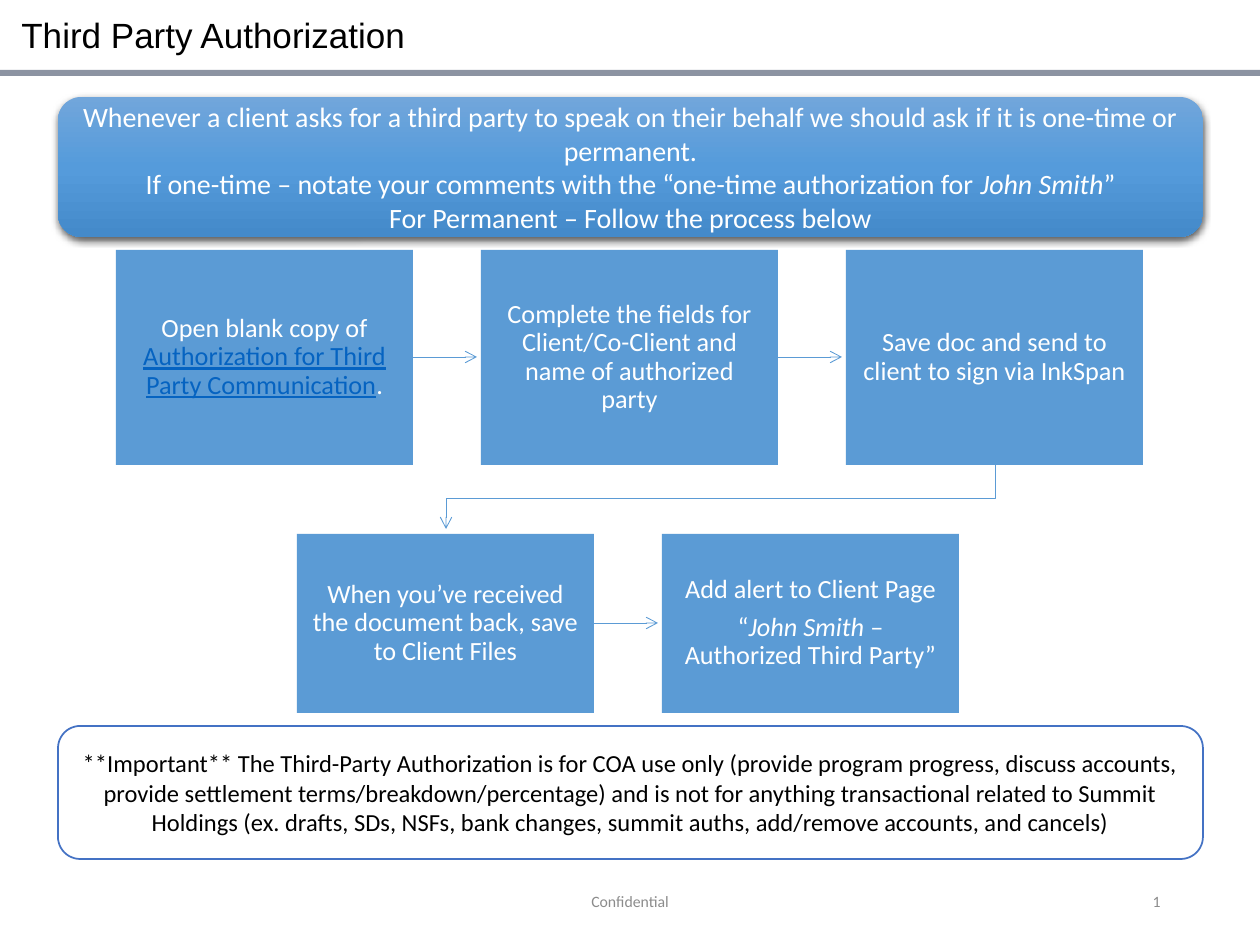
from copy import deepcopy

from lxml import etree
from pptx import Presentation
from pptx.dml.color import RGBColor
from pptx.enum.shapes import MSO_CONNECTOR, MSO_SHAPE
from pptx.enum.text import MSO_ANCHOR, PP_ALIGN
from pptx.oxml.ns import qn
from pptx.util import Pt

PX = 914400 // 126
LEFT, CENTER, RIGHT = PP_ALIGN.LEFT, PP_ALIGN.CENTER, PP_ALIGN.RIGHT
MIDDLE = MSO_ANCHOR.MIDDLE
RECT, ROUNDED = MSO_SHAPE.RECTANGLE, MSO_SHAPE.ROUNDED_RECTANGLE
STRAIGHT = MSO_CONNECTOR.STRAIGHT
COLORS = {
    name: RGBColor.from_string(value)
    for name, value in {
        "black": "000000", "white": "FFFFFF", "footer": "8C8C8C",
        "rule": "8C93A2", "step": "5B9BD5", "link": "0563C1",
        "note": "4472C4", "top": "71A6DB", "middle": "559BDB",
        "bottom": "448ACA",
    }.items()
}


def write(shape, paragraphs, size, color, align=CENTER, font="Calibri",
          spacing=1.0, after=0, inset=None):
    """Fill a shape with paragraphs, each a list of (text, style) runs."""
    frame = shape.text_frame
    frame.word_wrap = True
    frame.vertical_anchor = MIDDLE
    if inset is not None:
        frame.margin_left = frame.margin_right = inset * PX
        frame.margin_top = frame.margin_bottom = inset * PX
    for i, runs in enumerate(paragraphs):
        paragraph = frame.paragraphs[0] if i == 0 else frame.add_paragraph()
        paragraph.alignment = align
        paragraph.line_spacing = spacing
        paragraph.space_after = Pt(after)
        paragraph.font.name = font
        paragraph.font.size = Pt(size)
        paragraph.font.color.rgb = COLORS[color]
        for text, style in runs:
            run = paragraph.add_run()
            run.text = text
            if style == "italic":
                run.font.italic = True
            elif style == "link":
                run.font.underline = True
                run.font.color.rgb = COLORS["link"]


def style_arrow(arrow):
    """Give a line its colour, width and open arrowhead, without a shadow."""
    arrow.line.color.rgb = COLORS["step"]
    arrow.line.width = Pt(0.5)
    properties = arrow.element.spPr
    etree.SubElement(properties.find(qn("a:ln")), qn("a:tailEnd"), type="arrow")
    if properties.find(qn("a:effectLst")) is None:
        etree.SubElement(properties, qn("a:effectLst"))


prs = Presentation()
prs.slide_width, prs.slide_height = 1260 * PX, 945 * PX
slide = prs.slides.add_slide(prs.slide_layouts[6])
shapes = slide.shapes

# Title and footer
labels = [
    ("Third Party Authorization", (9, 5, 1220, 59), 20, "black", LEFT, "Arial"),
    ("Confidential", (417, 876, 426, 50), 9, "footer", CENTER, "Calibri"),
    ("1", (890, 876, 283, 50), 9, "footer", RIGHT, "Calibri"),
]
for text, box, size, color, align, font in labels:
    label = shapes.add_textbox(*(v * PX for v in box))
    write(label, [[(text, "")]], size, color, align, font)

title_rule = shapes.add_shape(RECT, 0, 70 * PX, 1260 * PX, 6 * PX)
title_rule.shadow.inherit = False
title_rule.fill.solid()
title_rule.fill.fore_color.rgb = COLORS["rule"]
title_rule.line.fill.background()

# Opening guidance
guidance = shapes.add_shape(ROUNDED, 58 * PX, 97 * PX, 1145 * PX, 140 * PX)
guidance.shadow.inherit = False
guidance.line.fill.background()
guidance.fill.gradient()
guidance.fill.gradient_angle = 270
stop_list = guidance.element.spPr.find(qn("a:gradFill")).find(qn("a:gsLst"))
stop_list.insert(1, deepcopy(stop_list[0]))
for stop, position, color in zip(guidance.fill.gradient_stops, (0, 0.5, 1),
                                 ("top", "middle", "bottom")):
    stop.position = position
    stop.color.rgb = COLORS[color]
effects = guidance.element.spPr.find(qn("a:effectLst"))
shadow = etree.SubElement(effects, qn("a:outerShdw"), blurRad=str(Pt(4.5)),
                          dist=str(Pt(1.5)), dir="5400000",
                          algn="ctr", rotWithShape="0")
shadow_color = etree.SubElement(shadow, qn("a:srgbClr"), val="000000")
etree.SubElement(shadow_color, qn("a:alpha"), val="63000")
write(guidance, [
    [("Whenever a client asks for a third party to speak on their behalf we "
      "should ask if it is one-time or permanent.", "")],
    [("If one-time – notate your comments with the “one-time authorization "
      "for ", ""), ("John Smith", "italic"), ("”", "")],
    [("For Permanent – Follow the process below", "")],
], 16, "white")

# Process steps, row by row: left, top, height, steps
STEP_WIDTH, STEP_PITCH, ARROW_LENGTH = 297, 365, 64
rows = [
    (116, 250, 215, [
        [[("Open blank copy of ", ""),
          ("Authorization for Third Party Communication", "link"), (".", "")]],
        [[("Complete the fields for Client/Co-Client and name of authorized "
           "party", "")]],
        [[("Save doc and send to client to sign via InkSpan", "")]],
    ]),
    (297, 534, 179, [
        [[("When you’ve received the document back, save to Client Files", "")]],
        [[("Add alert to Client Page", "")],
         [("“", ""), ("John Smith ", "italic"),
          ("– Authorized Third Party”", "")]],
    ]),
]
for row_left, top, height, steps in rows:
    for i, paragraphs in enumerate(steps):
        left = row_left + i * STEP_PITCH
        step = shapes.add_shape(RECT, left * PX, top * PX,
                                STEP_WIDTH * PX, height * PX)
        step.shadow.inherit = False
        step.fill.solid()
        step.fill.fore_color.rgb = COLORS["step"]
        step.line.fill.background()
        write(step, paragraphs, 15, "white", spacing=0.9, after=5.25, inset=15)
        if i < len(steps) - 1:
            start = left + STEP_WIDTH
            y = (top + height // 2) * PX
            style_arrow(shapes.add_connector(
                STRAIGHT, start * PX, y, (start + ARROW_LENGTH) * PX, y))

# Turn from the end of the first row to the start of the second
turn = shapes.build_freeform(995, 465, scale=PX)
turn.add_line_segments([(995, 499), (446, 499), (446, 529)], close=False)
row_turn = turn.convert_to_shape()
row_turn.shadow.inherit = False
row_turn.fill.background()
style_arrow(row_turn)

# Closing note
note = shapes.add_shape(ROUNDED, 58 * PX, 726 * PX, 1145 * PX, 133 * PX)
note.shadow.inherit = False
note.fill.solid()
note.fill.fore_color.rgb = COLORS["white"]
note.line.color.rgb = COLORS["note"]
note.line.width = Pt(1)
write(note, [[(
    "**Important** The Third-Party Authorization is for COA use only (provide "
    "program progress, discuss accounts, provide settlement "
    "terms/breakdown/percentage) and is not for anything transactional related "
    "to Summit Holdings (ex. drafts, SDs, NSFs, bank changes, summit auths, "
    "add/remove accounts, and cancels)", "")]], 14, "black")

prs.save("out.pptx")
